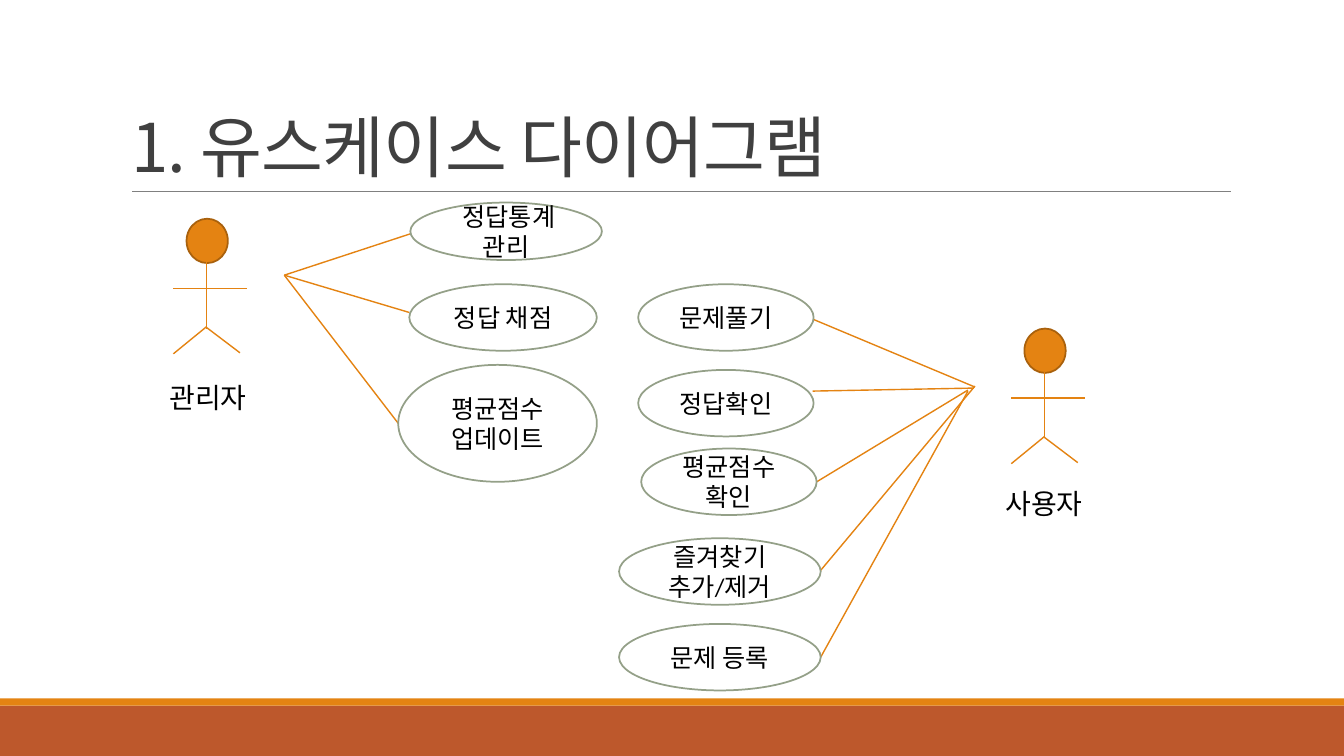
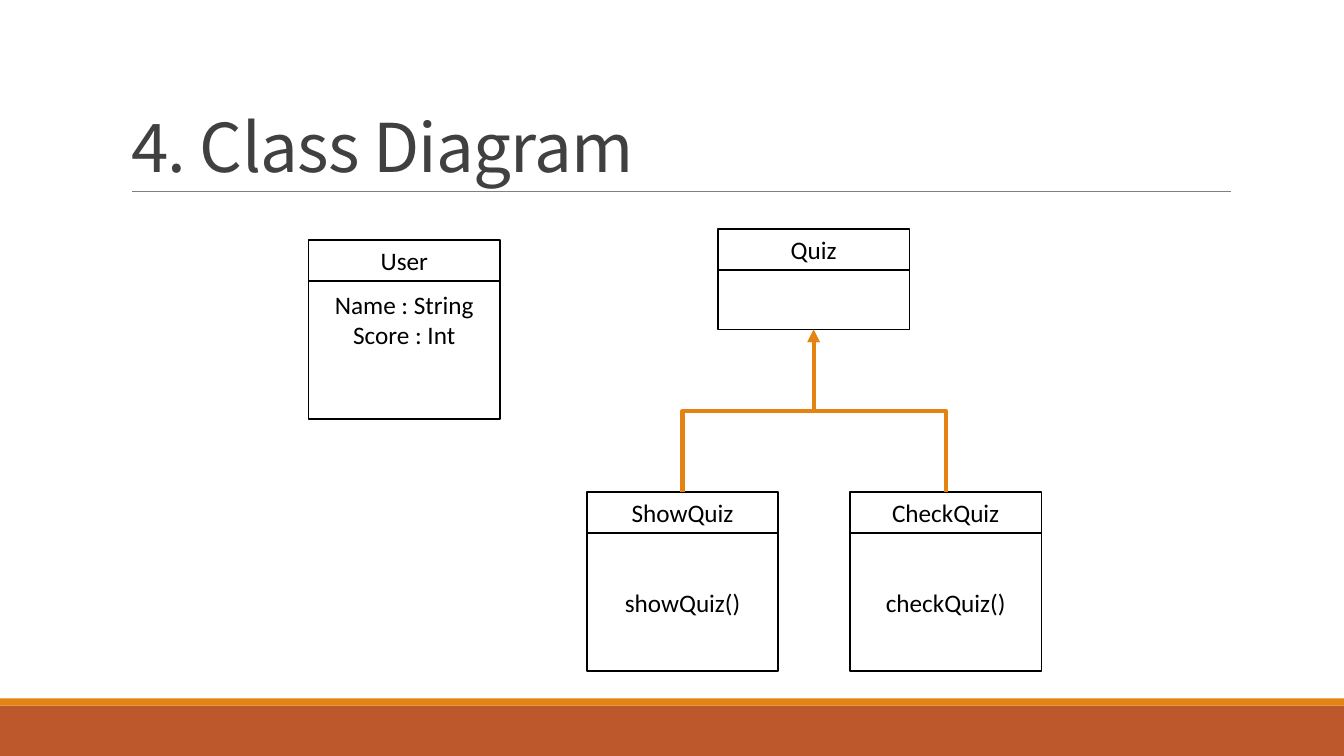
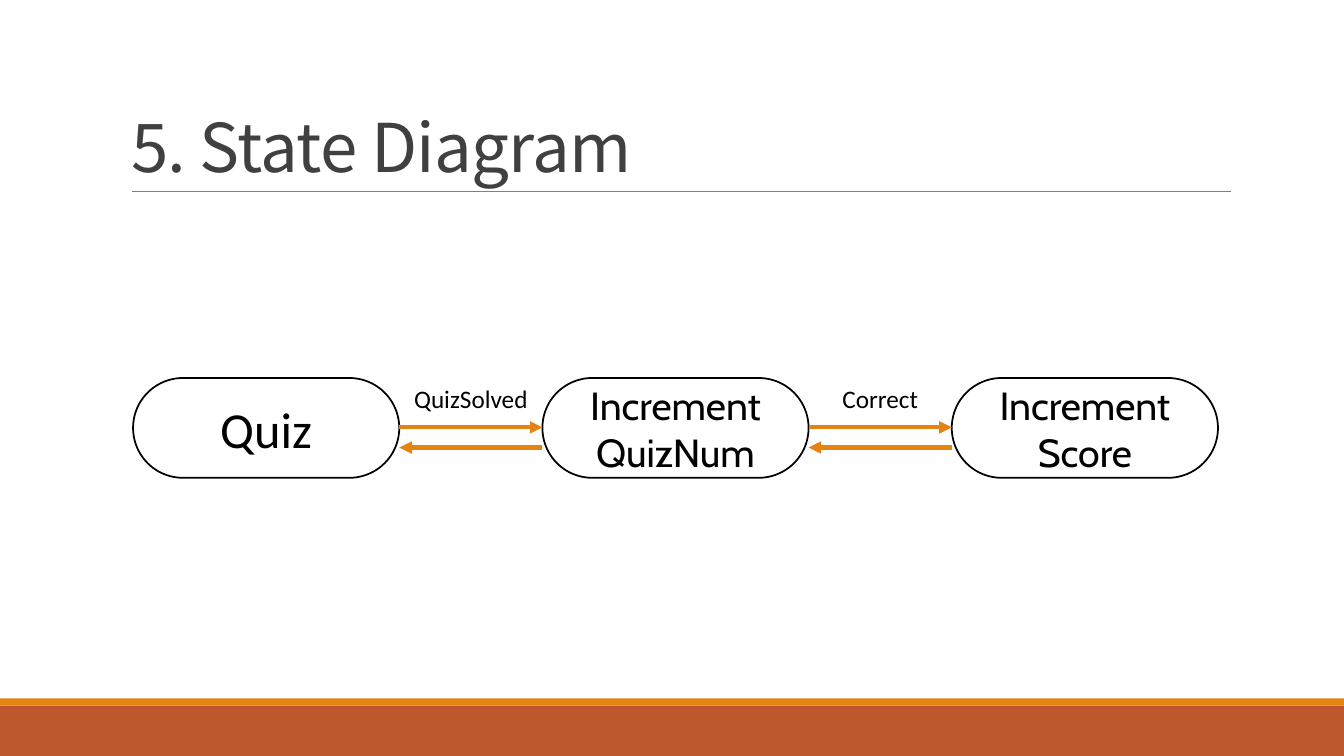
from lxml.etree import SubElement
from pptx import Presentation
from pptx.dml.color import RGBColor
from pptx.enum.shapes import MSO_CONNECTOR as Link, MSO_SHAPE as Shape
from pptx.enum.text import MSO_ANCHOR as Anchor, MSO_AUTO_SIZE as AutoSize, PP_ALIGN as Align
from pptx.oxml.ns import qn
from pptx.util import Inches, Pt

ORANGE = RGBColor(0xE4, 0x83, 0x12)
DARK_ORANGE = RGBColor(0xA9, 0x61, 0x0D)
RUST = RGBColor(0xBD, 0x58, 0x2C)
SAGE = RGBColor(0x94, 0xA0, 0x88)
GRAY = RGBColor(0x80, 0x80, 0x80)
TITLE_GRAY = RGBColor(0x40, 0x40, 0x40)
BLACK = RGBColor(0, 0, 0)
WHITE = RGBColor(0xFF, 0xFF, 0xFF)

BODY_FONT = "Calibri"
STATE_FONT = "Cabin"
KOREAN_FONT = "Noto Sans CJK KR"


def add_run(paragraph, text, size, font=BODY_FONT, color=BLACK):
    run = paragraph.add_run()
    run.text = text
    run.font.size = Pt(size)
    run.font.name = font
    run.font.color.rgb = color
    SubElement(run.font._element, qn("a:ea")).set("typeface", KOREAN_FONT)
    return run


def write_lines(frame, lines, size, font=BODY_FONT, align=Align.CENTER):
    for index, line in enumerate(lines):
        paragraph = frame.add_paragraph() if index else frame.paragraphs[0]
        paragraph.alignment = align
        add_run(paragraph, line, size, font)


def add_box(slide, kind, box, fill=WHITE, border=BLACK, lines=(), size=18, font=BODY_FONT):
    shape = slide.shapes.add_shape(kind, *map(Inches, box))
    shape.shadow.inherit = False
    shape.fill.solid()
    shape.fill.fore_color.rgb = fill
    if border is None:
        shape.line.fill.background()
    else:
        shape.line.color.rgb = border
        shape.line.width = Pt(1.25)
    shape.text_frame.vertical_anchor = Anchor.MIDDLE
    write_lines(shape.text_frame, lines, size, font)
    return shape


def add_label(slide, box, text, size, align=Align.LEFT):
    frame = slide.shapes.add_textbox(*map(Inches, box)).text_frame
    frame.word_wrap = True
    write_lines(frame, [text], size, align=align)


def add_line(slide, start, end, color=ORANGE, width=1, arrow=False, kind=Link.STRAIGHT):
    line = slide.shapes.add_connector(kind, *map(Inches, (*start, *end)))
    line.line.color.rgb = color
    line.line.width = Pt(width)
    if arrow:
        SubElement(line.line._get_or_add_ln(), qn("a:tailEnd")).set("type", "triangle")
    SubElement(line.element.spPr, qn("a:effectLst"))
    return line


def add_upward_elbow(slide, start, end):
    """Elbow arrow that leaves and arrives vertically: a turned horizontal one."""
    center_x, center_y = (start[0] + end[0]) / 2, (start[1] + end[1]) / 2
    sign = 1 if end[0] > start[0] else -1
    across = sign * (start[1] - center_y)
    down = -sign * (start[0] - center_x)
    line = add_line(slide, (center_x + across, center_y + down),
                    (center_x - across, center_y - down),
                    width=3, arrow=True, kind=Link.ELBOW)
    line.element.spPr.find(qn("a:xfrm")).set("rot", str(sign * 90 % 360 * 60000))


def prepare_layout(presentation):
    """Give the title-only layout its title box; drop its other placeholders."""
    layout = presentation.slide_layouts[5]
    for placeholder in list(layout.placeholders):
        if placeholder.placeholder_format.idx:
            layout.shapes.element.remove(placeholder.element)
        else:
            placeholder.left, placeholder.top = Inches(1.2), Inches(0.31)
            placeholder.width, placeholder.height = Inches(11), Inches(1.59)
    return layout


def move_decoration_to_layout(slide, layout):
    decoration = [
        add_box(slide, Shape.RECTANGLE, (0, 7, 13.33, 0.5), RUST, None),
        add_box(slide, Shape.RECTANGLE, (0, 6.93, 13.33, 0.07), ORANGE, None),
        add_line(slide, (1.31, 1.9), (12.21, 1.9), GRAY, 0.5),
    ]
    for part in decoration:
        layout.shapes.element.append(part.element)


def add_titled_slide(presentation, layout, title):
    slide = presentation.slides.add_slide(layout)
    frame = slide.shapes.title.text_frame
    frame.auto_size = AutoSize.NONE
    frame.vertical_anchor = Anchor.BOTTOM
    paragraph = frame.paragraphs[0]
    paragraph.alignment = Align.LEFT
    paragraph.line_spacing = 0.85
    run = add_run(paragraph, title, 48, KOREAN_FONT, TITLE_GRAY)
    run.font._element.set("spc", "-50")
    return slide


def add_actor(slide, left, top):
    """Stick figure whose head has the given top left corner."""
    limbs = [
        ((-0.13, 0.69), (0.6, 0.69)),
        ((0.2, 0.43), (0.2, 1.09)),
        ((0.2, 1.08), (0.53, 1.33)),
        ((-0.13, 1.34), (0.2, 1.07)),
    ]
    add_box(slide, Shape.OVAL, (left, top, 0.41, 0.44), ORANGE, DARK_ORANGE)
    for start, end in limbs:
        add_line(slide, (left + start[0], top + start[1]), (left + end[0], top + end[1]))


def add_use_cases(slide, cases):
    for text, box, start, end in cases:
        add_line(slide, start, end)
        add_box(slide, Shape.OVAL, box, border=SAGE, lines=[text])


def fill_use_case_slide(slide):
    add_actor(slide, 1.85, 2.17)
    add_label(slide, (1.58, 3.73, 1.29, 0.44), "관리자", 20)
    add_actor(slide, 10.16, 3.26)
    add_label(slide, (9.81, 4.78, 1.15, 0.44), " 사용자", 20)
    admin = (2.82, 2.73)
    add_use_cases(slide, [
        (" 정답통계 관리", (4.07, 2.01, 1.9, 0.57), admin, (4.07, 2.32)),
        ("정답 채점", (4.06, 2.82, 1.86, 0.66), admin, (4.06, 3.1)),
        ("평균점수 업데이트", (3.95, 3.62, 1.97, 1.16), admin, (3.95, 4.2)),
        ("문제풀기", (6.33, 2.82, 1.74, 0.66), (8.07, 3.17), (9.67, 3.84)),
        ("정답확인", (6.33, 3.67, 1.74, 0.66), (8.06, 3.88), (9.66, 3.85)),
        ("평균점수 확인", (6.36, 4.45, 1.74, 0.66), (8.1, 4.78), (9.6, 3.87)),
        ("즐겨찾기 추가/제거", (6.14, 5.34, 2, 0.66), (8.13, 5.67), (9.67, 3.83)),
        ("문제 등록", (6.14, 6.19, 2, 0.66), (8.14, 6.52), (9.6, 3.88)),
    ])


def add_class(slide, left, top, name, body_height, members=()):
    """Class box; returns the middle of its top and bottom edges."""
    width, head = 1.9, 0.41
    body = add_box(slide, Shape.RECTANGLE, (left, top + head, width, body_height), lines=members)
    if len(members) > 1:
        body.text_frame.vertical_anchor = Anchor.TOP
        body.text_frame.margin_top = Inches(0.08)
    add_box(slide, Shape.RECTANGLE, (left, top, width, head), lines=[name])
    middle = left + width / 2
    return (middle, top), (middle, top + head + body_height)


def fill_class_slide(slide):
    add_class(slide, 3.06, 2.38, "User", 1.37, ["Name : String", "Score : Int"])
    _, quiz_bottom = add_class(slide, 7.12, 2.27, "Quiz", 0.59)
    for left, name, method in [(5.82, "ShowQuiz", "showQuiz()"),
                               (8.43, "CheckQuiz", "checkQuiz()")]:
        child_top, _ = add_class(slide, left, 4.88, name, 1.37, [method])
        add_upward_elbow(slide, child_top, quiz_bottom)


def fill_state_slide(slide):
    left, top, width, height, gap = 1.32, 3.75, 2.64, 0.99, 1.42
    states = [
        (["Quiz"], 36, BODY_FONT),
        (["Increment", "QuizNum"], 28, STATE_FONT),
        (["Increment", "Score"], 28, STATE_FONT),
    ]
    for index, (lines, size, font) in enumerate(states):
        box = (left + index * (width + gap), top, width, height)
        pill = add_box(slide, Shape.ROUNDED_RECTANGLE, box, lines=lines, size=size, font=font)
        pill.adjustments[0] = 0.5
    for index, event in enumerate(["QuizSolved", "Correct"]):
        start = left + width + index * (width + gap)
        end = start + gap
        add_label(slide, (start, top, gap, 0.4), event, 18, Align.CENTER)
        add_line(slide, (start, top + 0.49), (end, top + 0.49), width=3, arrow=True)
        add_line(slide, (end, top + 0.69), (start, top + 0.69), width=3, arrow=True)


def main():
    presentation = Presentation()
    presentation.slide_width, presentation.slide_height = Inches(13.33), Inches(7.5)
    layout = prepare_layout(presentation)
    pages = [
        ("1. 유스케이스 다이어그램", fill_use_case_slide),
        ("4. Class Diagram", fill_class_slide),
        ("5. State Diagram", fill_state_slide),
    ]
    for title, fill_slide in pages:
        fill_slide(add_titled_slide(presentation, layout, title))
    move_decoration_to_layout(presentation.slides[0], layout)
    presentation.save("out.pptx")


if __name__ == "__main__":
    main()
